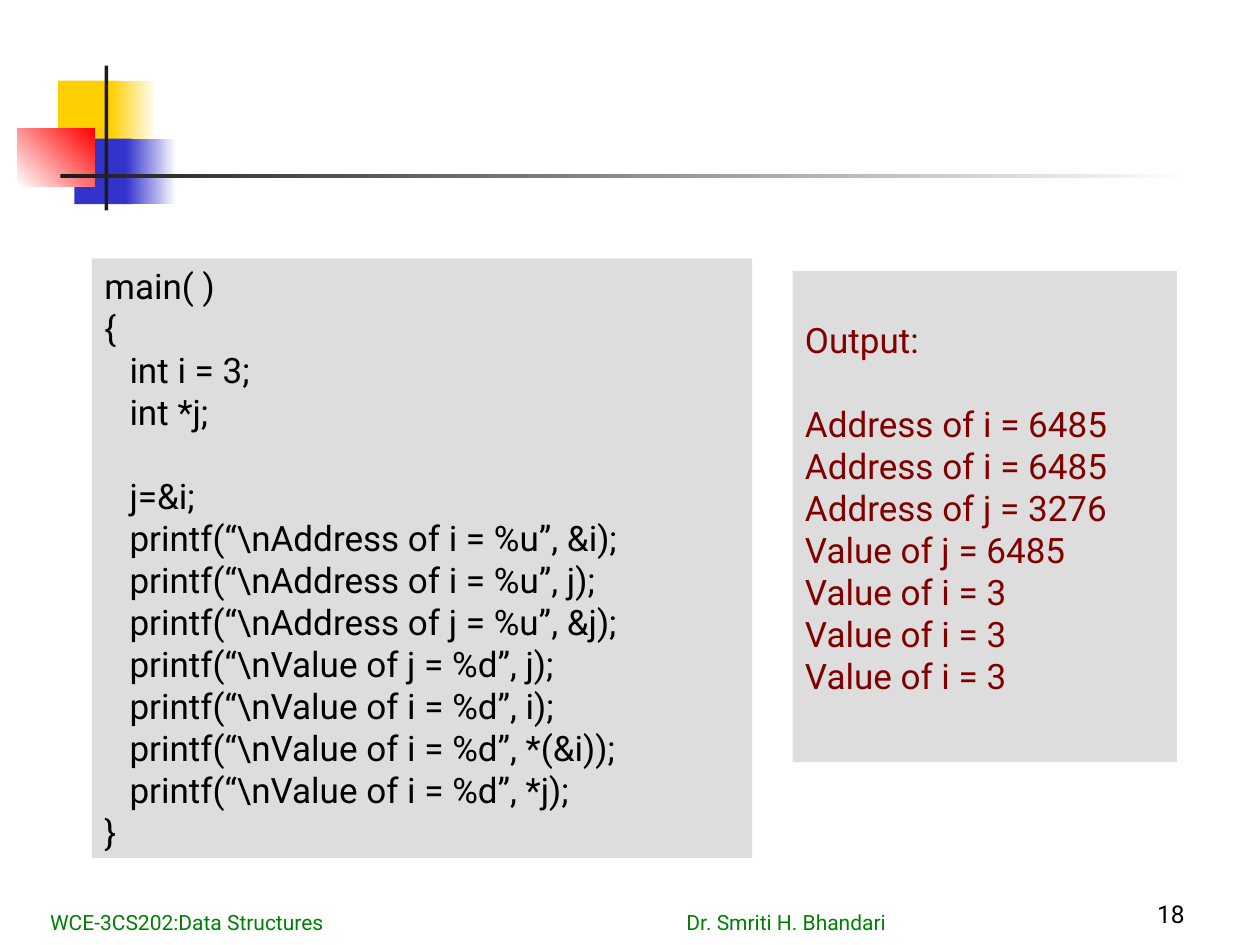
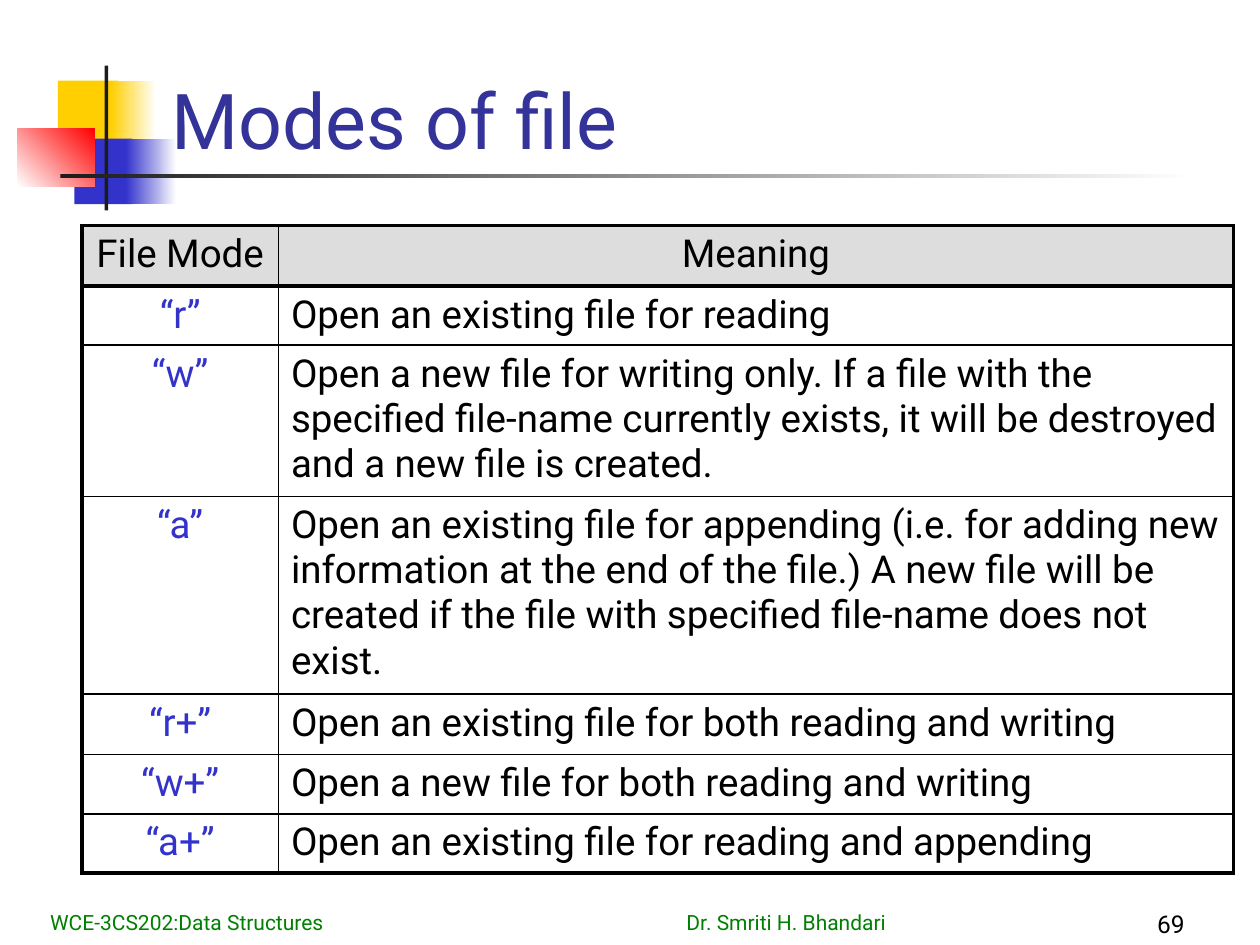
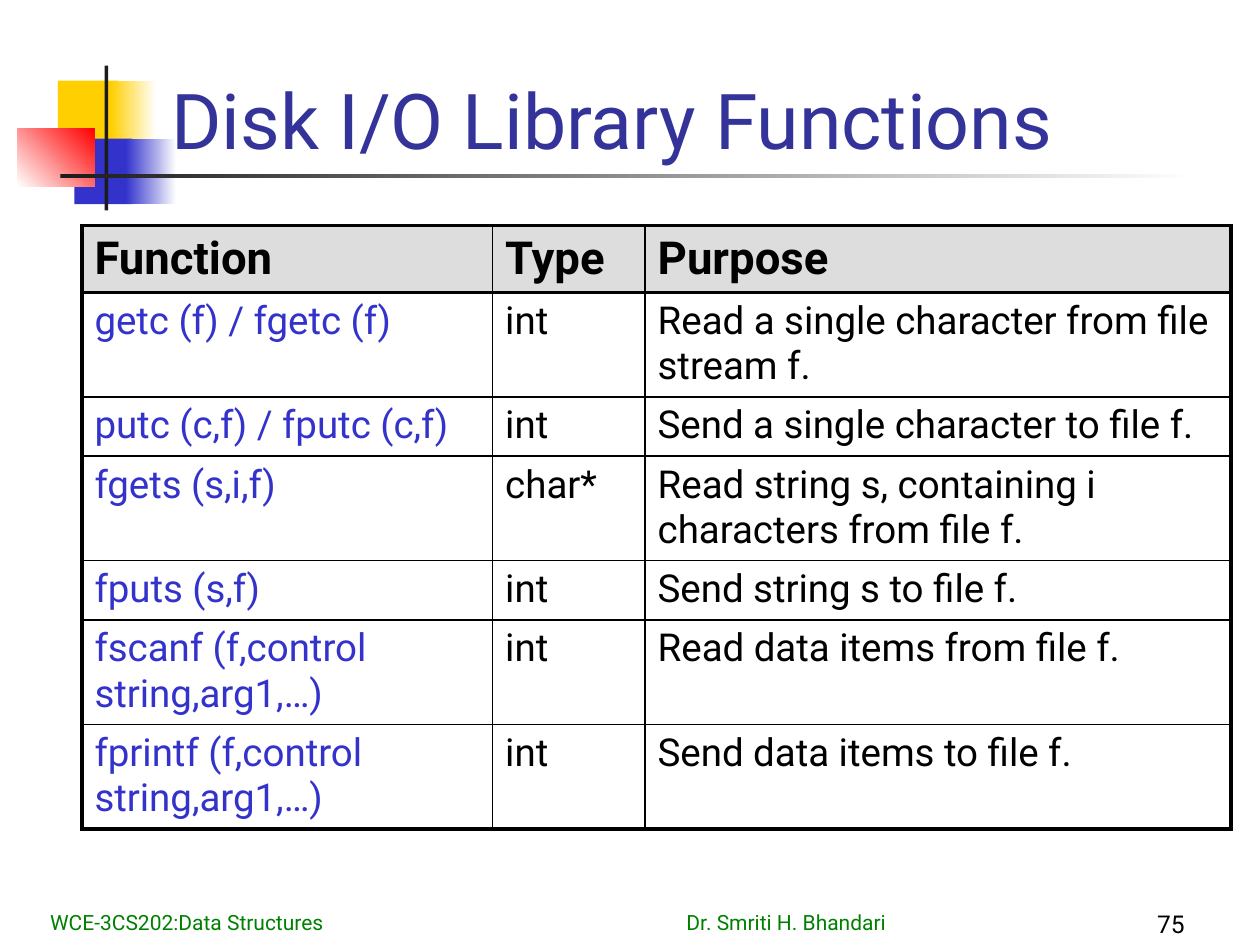
from dataclasses import dataclass
from typing import Any

import pptx
import pptx.dml.color
import pptx.enum.shapes
import pptx.enum.text
import pptx.oxml
import pptx.oxml.ns
import pptx.util
from pptx.util import Inches

ALIGN = pptx.enum.text.PP_ALIGN
ANCHOR = pptx.enum.text.MSO_ANCHOR
TITLE_ONLY, BLANK = 5, 6
FONT = "Roboto"
COLORS = {
    "black": "000000",
    "white": "FFFFFF",
    "panel": "DDDDDD",
    "yellow": "FFCF01",
    "blue": "3333CC",
    "red": "FF0000",
    "bar": "1C1C1C",
    "title": "333399",
    "output": "800000",
    "footer": "008000",
}
THIN, THICK = 1, 2.25
CODE_SIZE = 20
CODE_LINE = 24  # height in points of one line of code
CODE_INDENT = 0.2
AUTHOR_TAB = 5.05


@dataclass
class Box:
    left: float
    top: float
    width: float
    height: float

    def lengths(self) -> tuple:
        return tuple(Inches(v) for v in (self.left, self.top, self.width, self.height))


@dataclass
class Ornament:
    box: Box
    start: str
    end: str = ""
    angle: float = 0


@dataclass
class Line:
    text: str
    indented: bool = False
    gap_before: bool = False


@dataclass
class Panel:
    box: Box
    color: str
    lines: list[Line]
    top_inset: float = 0.05


@dataclass
class Grid:
    title: str
    page: str
    columns: list[float]
    row_heights: list[float]
    rows: list[tuple[str, ...]]
    header_style: dict[str, Any]
    header_align: Any = ALIGN.LEFT
    key_align: Any = ALIGN.LEFT


ORNAMENTS = [
    Ornament(Box(0.46, 0.64, 0.48, 0.52), "yellow"),
    Ornament(Box(0.88, 0.64, 0.36, 0.52), "yellow", "white"),
    Ornament(Box(0.59, 1.1, 0.46, 0.52), "blue"),
    Ornament(Box(1, 1.1, 0.4, 0.52), "blue", "white"),
    Ornament(Box(0.14, 1.02, 0.61, 0.46), "white", "red", 45),
    Ornament(Box(0.83, 0.52, 0.03, 1.15), "bar"),
    Ornament(Box(0.48, 1.38, 9, 0.03), "bar", "white"),
]

PROGRAM = Panel(Box(0.73, 2.05, 5.24, 4.76), "black", [
    Line("main( )"),
    Line("{"),
    Line("int i = 3;", True),
    Line("int *j;", True),
    Line("j=&i;", True, True),
    Line(r"printf(“\nAddress of i = %u”, &i);", True),
    Line(r"printf(“\nAddress of i = %u”, j);", True),
    Line(r"printf(“\nAddress of j = %u”, &j);", True),
    Line(r"printf(“\nValue of j = %d”, j);", True),
    Line(r"printf(“\nValue of i = %d”, i);", True),
    Line(r"printf(“\nValue of i = %d”, *(&i));", True),
    Line(r"printf(“\nValue of i = %d”, *j);", True),
    Line("}"),
])

OUTPUT = Panel(Box(6.29, 2.15, 3.05, 3.9), "output", [
    Line("Output:"),
    Line("Address of i = 6485", gap_before=True),
    Line("Address of i = 6485"),
    Line("Address of j = 3276"),
    Line("Value of j = 6485"),
    Line("Value of i = 3"),
    Line("Value of i = 3"),
    Line("Value of i = 3"),
], top_inset=0.38)

FILE_MODES = Grid(
    "Modes of file", "69", [1.56, 7.58],
    [0.48, 0.47, 1.2, 1.57, 0.48, 0.47, 0.47],
    [
        ("File Mode", "Meaning"),
        ("“r”", "Open an existing file for reading"),
        ("“w”", "Open a new file for writing only. If a file with the specified "
                "file-name currently exists, it will be destroyed and a new file "
                "is created."),
        ("“a”", "Open an existing file for appending (i.e. for adding new "
                "information at the end of the file.) A new file will be created "
                "if the file with specified file-name does not exist."),
        ("“r+”", "Open an existing file for both reading and writing"),
        ("“w+”", "Open a new file for both reading and writing"),
        ("“a+”", "Open an existing file for reading and appending"),
    ],
    {"size": 22}, ALIGN.CENTER, ALIGN.CENTER,
)

DISK_FUNCTIONS = Grid(
    "Disk I/O Library Functions", "75", [3.26, 1.21, 4.65],
    [0.53, 0.83, 0.47, 0.83, 0.47, 0.83, 0.83],
    [
        ("Function", "Type", "Purpose"),
        ("getc (f) / fgetc (f)", "int", "Read a single character from file stream f."),
        ("putc (c,f) / fputc (c,f)", "int", "Send a single character to file f."),
        ("fgets (s,i,f)", "char*", "Read string s, containing i characters from file f."),
        ("fputs (s,f)", "int", "Send string s to file f."),
        ("fscanf (f,control string,arg1,…)", "int", "Read data items from file f."),
        ("fprintf (f,control string,arg1,…)", "int", "Send data items to file f."),
    ],
    {"size": 26, "bold": True},
)


def rgb(color: str) -> pptx.dml.color.RGBColor:
    return pptx.dml.color.RGBColor.from_string(COLORS[color])


def set_all(target: Any, values: dict[str, Any]) -> None:
    for name, value in values.items():
        setattr(target, name, value)


def write(paragraph: Any, text: str, color: str, size: float,
          bold: bool = False, align: Any = ALIGN.LEFT) -> None:
    paragraph.alignment = align
    run = paragraph.add_run()
    run.text = text
    set_all(run.font, {"name": FONT, "size": pptx.util.Pt(size), "bold": bold})
    run.font.color.rgb = rgb(color)


def add_block(slide: Any, box: Box, fill: str) -> Any:
    """Add a flat rectangle without outline or shadow."""
    block = slide.shapes.add_shape(
        pptx.enum.shapes.MSO_SHAPE.RECTANGLE, *box.lengths())
    block.shadow.inherit = False
    block.line.fill.background()
    block.fill.solid()
    block.fill.fore_color.rgb = rgb(fill)
    return block


def decorate_master(master: Any, slide: Any) -> None:
    """Build the ornaments on a slide, then move them behind the master's text."""
    for i, ornament in enumerate(ORNAMENTS):
        block = add_block(slide, ornament.box, ornament.start)
        if ornament.end:
            block.fill.gradient()
            block.fill.gradient_angle = ornament.angle
            for stop, color in zip(block.fill.gradient_stops,
                                   (ornament.start, ornament.end)):
                stop.color.rgb = rgb(color)
        block.element.nvSpPr.cNvPr.set("id", str(100 + i))
        master.shapes.element.insert(2 + i, block.element)


def add_bottom_text(slide: Any, box: Box) -> Any:
    frame = slide.shapes.add_textbox(*box.lengths()).text_frame
    set_all(frame, {"word_wrap": True, "vertical_anchor": ANCHOR.BOTTOM})
    return frame.paragraphs[0]


def add_footer(slide: Any, page: str, page_top: float = 7) -> None:
    number = add_bottom_text(slide, Box(7.42, page_top, 2.08, 0.5))
    write(number, page, "black", 14, align=ALIGN.RIGHT)
    course = add_bottom_text(slide, Box(0.3, 7.12, 7.93, 0.35))
    write(course, "WCE-3CS202:Data Structures\tDr. Smriti H. Bhandari", "footer", 12)
    course._p.get_or_add_pPr().append(pptx.oxml.parse_xml(
        f'<a:tabLst {pptx.oxml.ns.nsdecls("a")}>'
        f'<a:tab pos="{Inches(AUTHOR_TAB)}" algn="l"/></a:tabLst>'))


def add_panel(slide: Any, panel: Panel) -> None:
    frame = add_block(slide, panel.box, "panel").text_frame
    set_all(frame, {"word_wrap": True, "vertical_anchor": ANCHOR.TOP,
                    "margin_top": Inches(panel.top_inset)})
    for i, line in enumerate(panel.lines):
        paragraph = frame.add_paragraph() if i else frame.paragraphs[0]
        write(paragraph, line.text, panel.color, CODE_SIZE)
        if line.gap_before:
            paragraph.space_before = pptx.util.Pt(CODE_LINE)
        if line.indented:
            paragraph._p.get_or_add_pPr().set("marL", str(Inches(CODE_INDENT)))


def add_borders(cell: Any, widths: dict[str, float]) -> None:
    for side, width in widths.items():
        cell._tc.get_or_add_tcPr().append(pptx.oxml.parse_xml(
            f'<a:ln{side} {pptx.oxml.ns.nsdecls("a")} w="{pptx.util.Pt(width)}">'
            f'<a:solidFill><a:srgbClr val="{COLORS["black"]}"/></a:solidFill>'
            f'</a:ln{side}>'))


def add_grid(slide: Any, grid: Grid) -> None:
    box = Box(0.65, 1.79, sum(grid.columns), sum(grid.row_heights))
    last_row, last_column = len(grid.rows) - 1, len(grid.columns) - 1
    table = slide.shapes.add_table(
        last_row + 1, last_column + 1, *box.lengths()).table
    set_all(table, {"first_row": False, "horz_banding": False})
    for column, width in zip(table.columns, grid.columns):
        column.width = Inches(width)
    for row, height in zip(table.rows, grid.row_heights):
        row.height = Inches(height)
    for r, texts in enumerate(grid.rows):
        for c, text in enumerate(texts):
            cell = table.cell(r, c)
            heavy = {"L": c == 0, "R": c == last_column,
                     "T": r <= 1, "B": r in (0, last_row)}
            add_borders(cell, {side: THICK if is_heavy else THIN
                               for side, is_heavy in heavy.items()})
            paragraph = cell.text_frame.paragraphs[0]
            if r == 0:
                cell.fill.solid()
                cell.fill.fore_color.rgb = rgb("panel")
                write(paragraph, text, "black", align=grid.header_align,
                      **grid.header_style)
            else:
                cell.fill.background()
                write(paragraph, text, "black" if c else "blue", 22,
                      align=ALIGN.LEFT if c else grid.key_align)


def set_title(slide: Any, text: str) -> None:
    title = slide.shapes.title
    for side, length in zip(("left", "top", "width", "height"),
                            Box(1.26, 0.11, 8.52, 1.25).lengths()):
        setattr(title, side, length)
    set_all(title.text_frame, {"vertical_anchor": ANCHOR.BOTTOM, "word_wrap": True,
                               "auto_size": pptx.enum.text.MSO_AUTO_SIZE.NONE})
    write(title.text_frame.paragraphs[0], text, "title", 44)


def main() -> None:
    deck = pptx.Presentation()
    set_all(deck, {"slide_width": Inches(10), "slide_height": Inches(7.5)})

    pointers = deck.slides.add_slide(deck.slide_layouts[BLANK])
    decorate_master(deck.slide_master, pointers)
    for panel in (PROGRAM, OUTPUT):
        add_panel(pointers, panel)
    add_footer(pointers, "18", 6.92)

    for grid in (FILE_MODES, DISK_FUNCTIONS):
        slide = deck.slides.add_slide(deck.slide_layouts[TITLE_ONLY])
        set_title(slide, grid.title)
        add_grid(slide, grid)
        add_footer(slide, grid.page)

    deck.save("out.pptx")


if __name__ == "__main__":
    main()
